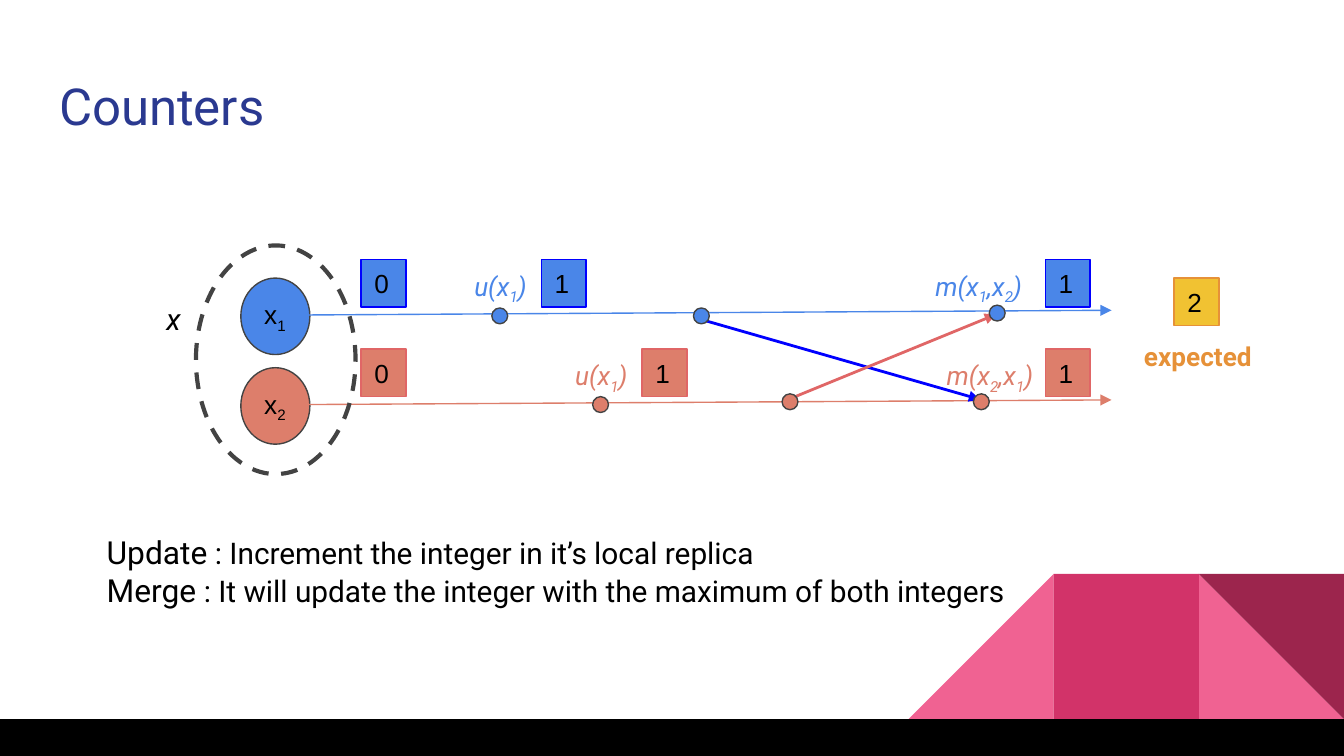
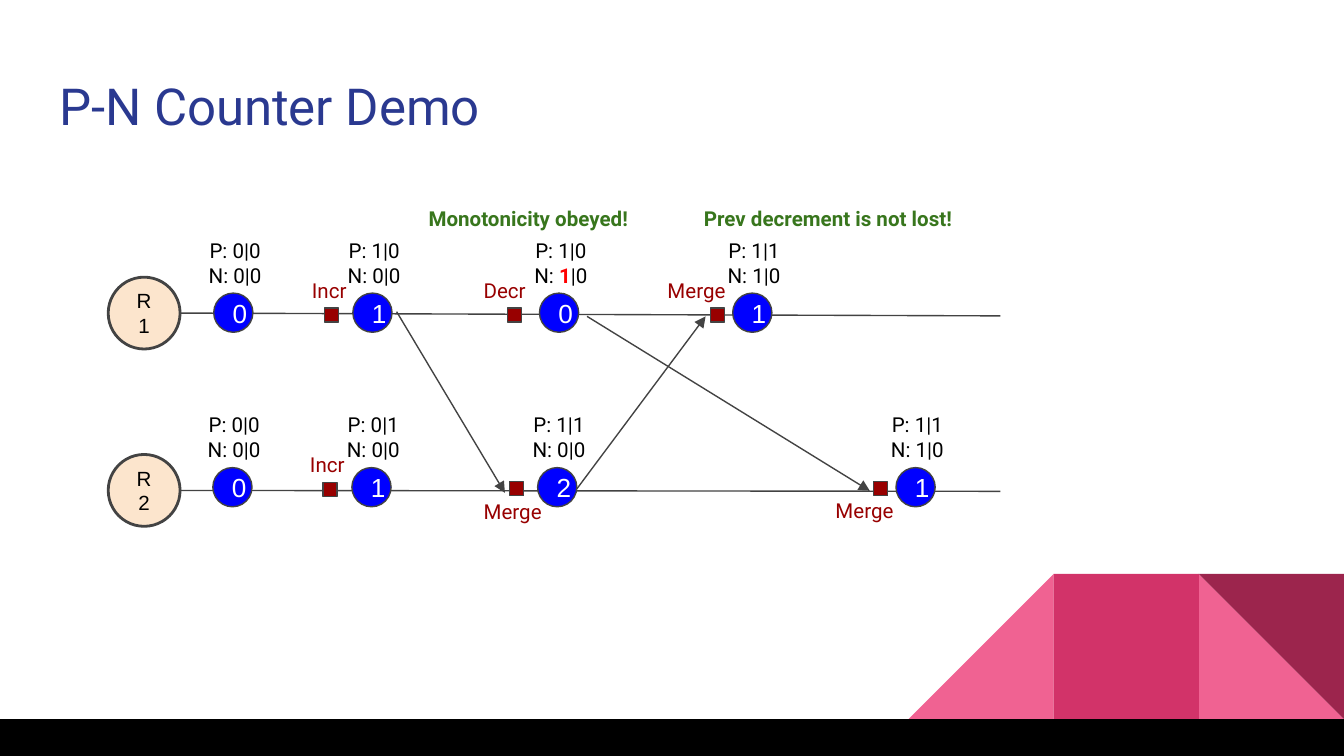
from lxml import etree
from pptx import Presentation
from pptx.dml.color import RGBColor
from pptx.enum.dml import MSO_LINE
from pptx.enum.shapes import MSO_CONNECTOR, MSO_SHAPE
from pptx.enum.text import MSO_ANCHOR, MSO_AUTO_SIZE, PP_ALIGN
from pptx.oxml.ns import qn
from pptx.util import Pt

RECT, OVAL = MSO_SHAPE.RECTANGLE, MSO_SHAPE.OVAL
TRIANGLE, PROCESS = MSO_SHAPE.RIGHT_TRIANGLE, MSO_SHAPE.FLOWCHART_PROCESS
STRAIGHT, DASH = MSO_CONNECTOR.STRAIGHT, MSO_LINE.DASH
TOP, MIDDLE = MSO_ANCHOR.TOP, MSO_ANCHOR.MIDDLE
LEFT, CENTER = PP_ALIGN.LEFT, PP_ALIGN.CENTER
NO_AUTOSIZE = MSO_AUTO_SIZE.NONE

BLACK = RGBColor(0x00, 0x00, 0x00)
WHITE = RGBColor(0xFF, 0xFF, 0xFF)
GREY = RGBColor(0x43, 0x43, 0x43)
NAVY = RGBColor(0x2A, 0x39, 0x90)
PINK = RGBColor(0xF0, 0x62, 0x92)
MAGENTA = RGBColor(0xD2, 0x33, 0x69)
WINE = RGBColor(0x9C, 0x25, 0x4D)
SKY = RGBColor(0x4A, 0x86, 0xE8)
BLUE = RGBColor(0x00, 0x00, 0xFF)
CORAL = RGBColor(0xDD, 0x7E, 0x6B)
ROSE = RGBColor(0xE0, 0x66, 0x66)
GOLD = RGBColor(0xF1, 0xC2, 0x32)
ORANGE = RGBColor(0xE6, 0x91, 0x38)
CREAM = RGBColor(0xFC, 0xE5, 0xCD)
MAROON = RGBColor(0x98, 0x00, 0x00)
GREEN = RGBColor(0x38, 0x76, 0x1D)
RED = RGBColor(0xFF, 0x00, 0x00)

INSET = 7.2


def subscript(r):
    r._r.get_or_add_rPr().set("baseline", "-25000")


def red_bold(r):
    r.font.bold = True
    r.font.color.rgb = RED


def larger(r):
    r.font.size = Pt(17)


def write(sp, text, size, color, font="Roboto", bold=False, italic=False,
          align=LEFT, anchor=TOP, right=INSET, accent=subscript):
    """Fill a shape with text; parts between underscores get the accent."""
    tf = sp.text_frame
    tf.word_wrap = True
    tf.auto_size = NO_AUTOSIZE
    tf.vertical_anchor = anchor
    tf.margin_left = tf.margin_top = tf.margin_bottom = Pt(INSET)
    tf.margin_right = Pt(right)
    for i, line in enumerate(text.split("\n")):
        p = tf.add_paragraph() if i else tf.paragraphs[0]
        p.alignment = align
        p.font.name, p.font.size = font, Pt(size)
        p.font.bold, p.font.italic = bold, italic
        p.font.color.rgb = color
        for j, part in enumerate(line.split("_")):
            if part:
                r = p.add_run()
                r.text = part
                if j % 2:
                    accent(r)


def add_text(s, x, y, w, h, text, size, color, **style):
    sp = s.shapes.add_textbox(Pt(x), Pt(y), Pt(w), Pt(h))
    write(sp, text, size, color, **style)


def add_shape(s, kind, x, y, w, h, fill=None, line=None, width=0.75):
    sp = s.shapes.add_shape(kind, Pt(x), Pt(y), Pt(w), Pt(h))
    sp.shadow.inherit = False
    if fill is None:
        sp.fill.background()
    else:
        sp.fill.solid()
        sp.fill.fore_color.rgb = fill
    if line is None:
        sp.line.fill.background()
    else:
        sp.line.color.rgb = line
        sp.line.width = Pt(width)
    return sp


def add_line(s, x1, y1, x2, y2, color=GREY, width=0.75, arrow=True):
    c = s.shapes.add_connector(STRAIGHT, Pt(x1), Pt(y1), Pt(x2), Pt(y2))
    c.line.color.rgb = color
    c.line.width = Pt(width)
    if arrow:
        etree.SubElement(c.line._get_or_add_ln(), qn("a:tailEnd"), type="triangle")
    etree.SubElement(c.element.spPr, qn("a:effectLst"))


def add_corner(s):
    """Pink corner pattern above the black footer bar."""
    side, bottom = 77.75, 385.25
    left, middle, right = (720 - n * side for n in (3, 2, 1))
    y = bottom - side
    add_shape(s, TRIANGLE, right, y, side, side, PINK)
    flipped = add_shape(s, TRIANGLE, left, y, side, side, PINK)
    flipped.element.spPr.xfrm.set("flipH", "1")
    add_shape(s, RECT, middle, y, side, side, MAGENTA)
    add_shape(s, TRIANGLE, right, y, side, side, WINE).rotation = 180
    add_shape(s, RECT, 0, bottom, 720, 405 - bottom, BLACK)


def new_slide(prs, title):
    s = prs.slides.add_slide(prs.slide_layouts[5])
    add_corner(s)
    sp = s.shapes.title
    sp.left, sp.top, sp.width, sp.height = Pt(24.5), Pt(32.5), Pt(671), Pt(47.5)
    write(sp, title, 27.3, NAVY)
    return s


def add_value(s, x, y, value, fill, line):
    sp = add_shape(s, RECT, x, y, 24, 25.5, fill, line)
    write(sp, value, 14, BLACK, font="Arial", anchor=MIDDLE)


def add_event(s, x, y, fill):
    add_shape(s, OVAL, x, y, 8.5, 8.5, fill, GREY)


def add_replica(s, y, name, fill, edge, values, labels):
    """One replica of x with its timeline, values and operation labels."""
    sp = add_shape(s, OVAL, 129, y, 37, 41, fill, GREY)
    write(sp, name, 14, BLACK, font="Arial", anchor=MIDDLE, right=0)
    add_line(s, 163.5, y + 19.75, 595.5, y + 17.25, fill)
    for x, value in values:
        add_value(s, x, y - 10, value, fill, edge)
    for x, w, label in labels:
        add_text(s, x, y - 11.5, w, 33, label, 14, fill, italic=True)


def build_counters(prs):
    s = new_slide(prs, "Counters")
    top, low = 149, 197
    add_replica(s, top, "x_1_", SKY, BLUE,
                [(193.5, "0"), (290, "1"), (560, "1")],
                [(247, 52, "u(x_1_)"), (494, 80, "m(x_1_,x_2_)")])
    add_replica(s, low, "x_2_", CORAL, ROSE,
                [(193.5, "0"), (344, "1"), (560, "1")],
                [(301, 52, "u(x_1_)"), (500, 80, "m(x_2_,x_1_)")])
    group = add_shape(s, OVAL, 105, 131.5, 85.5, 122.5, None, GREY, 2.25)
    group.line.dash_style = DASH
    add_text(s, 82, 154, 32.5, 34, "x", 16, BLACK, italic=True)

    add_line(s, 378.5, 172, 525, 214, BLUE, 1.5)
    add_line(s, 426, 212.5, 533.5, 168.5, ROSE, 1.5)
    for x, y in ((263.5, 165), (371.5, 165), (530, 163.5)):
        add_event(s, x, y, SKY)
    for x, y in ((317.5, 212.5), (419, 211), (521.5, 211)):
        add_event(s, x, y, CORAL)

    add_text(s, 50, 278, 502, 55.5,
             "_Update_ : Increment the integer in it’s local replica\n"
             "_Merge_ : It will update the integer with the maximum of both integers",
             16, BLACK, accent=larger)
    add_value(s, 629, top, "2", GOLD, ORANGE)
    add_text(s, 605, 175, 73.5, 31, "expected", 14, ORANGE, bold=True, align=CENTER)


def add_node(s, y, name, slope):
    """Replica circle with its timeline."""
    sp = add_shape(s, OVAL, 58, y, 38.5, 38.5, CREAM, GREY, 1.5)
    write(sp, name, 11, BLACK, font="Arial", align=CENTER, anchor=MIDDLE)
    add_line(s, 96.5, y + 19.25, 536, y + 19.25 + slope, arrow=False)


def add_state(s, x, y, value, p_count, n_count):
    sp = add_shape(s, OVAL, x, y, 21, 21, BLUE, GREY)
    write(sp, value, 14, WHITE, font="Arial", align=CENTER, anchor=MIDDLE, right=0)
    add_text(s, x - 12, y - 36.75, 47, 41, f"P: {p_count}\nN:{n_count}", 11, BLACK,
             align=CENTER, accent=red_bold)


def add_operation(s, x, y, name, dx, dy):
    """Square on the timeline, with its label set off by dx, dy."""
    add_shape(s, PROCESS, x, y, 7.5, 7.5, MAROON, GREY)
    add_text(s, x + dx, y + dy, 55, 27.5, name, 11, MAROON)


def build_demo(prs):
    s = new_slide(prs, "P-N Counter Demo")
    add_node(s, 148.5, "R1", 1.5)
    add_node(s, 243.5, "R2", 0.5)
    above = -23.5
    for operation in ((174, 165, "Incr", -14, above),
                      (272, 165, "Decr", -20, above),
                      (380.5, 165, "Merge", -30, above),
                      (173, 258.5, "Incr", -14, above),
                      (273, 258, "Merge", -21, 2),
                      (468, 258, "Merge", -27.5, 1.5)):
        add_operation(s, *operation)
    upper = ((114.5, "0", "0|0", " 0|0"), (189, "1", "1|0", " 0|0"),
             (289, "0", "1|0", "_ 1_|0"), (392.5, "1", "1|1", " 1|0"))
    lower = ((114, "0", "0|0", " 0|0"), (188.5, "1", "0|1", " 0|0"),
             (288, "2", "1|1", " 0|0"), (480, "1", "1|1", " 1|0"))
    for y, states in ((157, upper), (250.5, lower)):
        for x, value, p_count, n_count in states:
            add_state(s, x, y, value, p_count, n_count)
    for ends in ((212.5, 167, 270.5, 264), (309, 262, 378, 169.5),
                 (314.5, 169.5, 466, 263)):
        add_line(s, *ends)
    for x, w, note in ((222.5, 137, "Monotonicity obeyed!"),
                       (370, 152, "Prev decrement is not lost!")):
        add_text(s, x, 103, w, 27.5, note, 11, GREEN, bold=True)


def main():
    prs = Presentation()
    prs.slide_width, prs.slide_height = Pt(720), Pt(405)
    build_counters(prs)
    build_demo(prs)
    prs.save("out.pptx")


if __name__ == "__main__":
    main()
